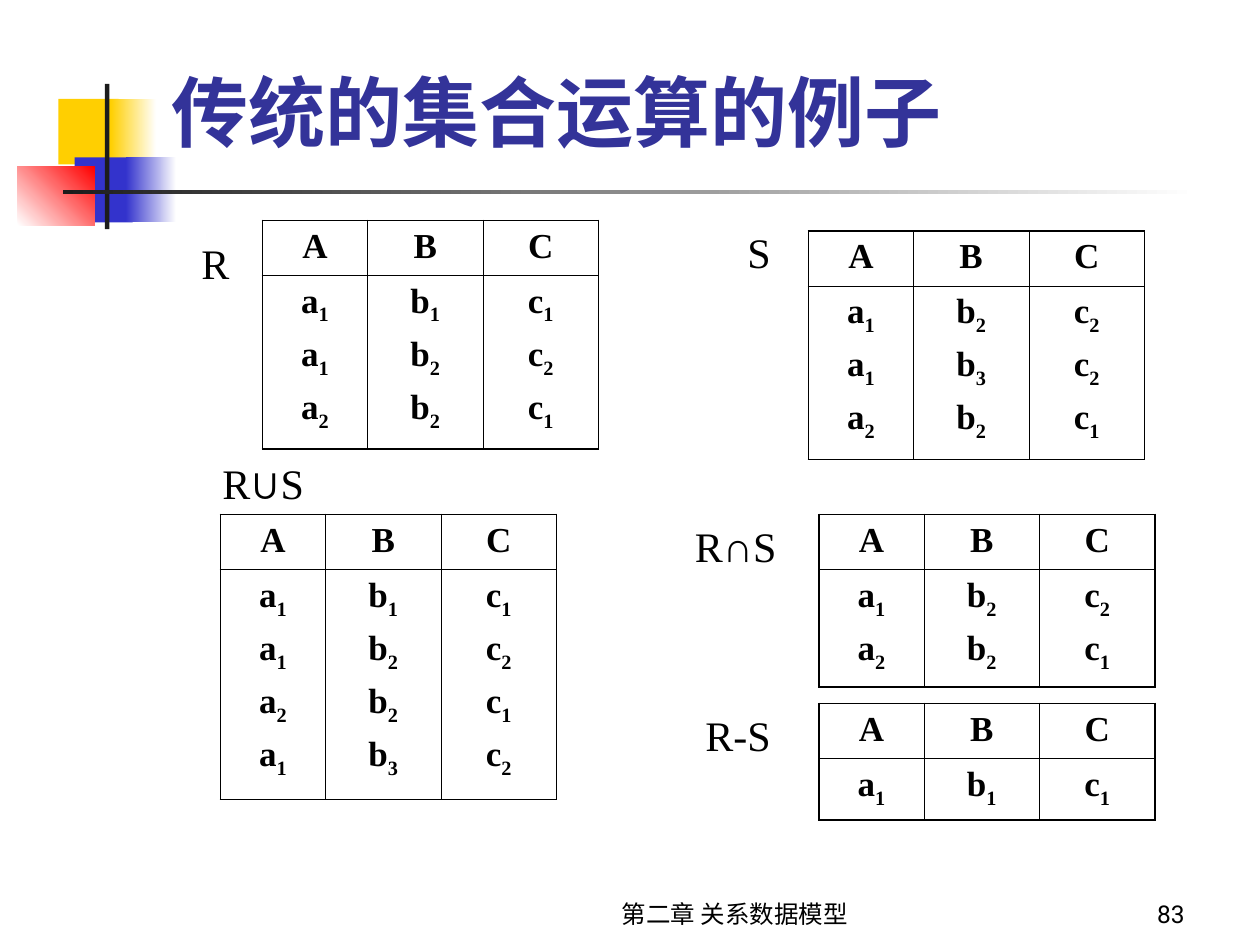
import lxml.etree
import pptx
import pptx.dml.color
import pptx.enum.shapes
import pptx.enum.text
import pptx.oxml.ns
import pptx.util

Pt = pptx.util.Pt
RGB = pptx.dml.color.RGBColor.from_string
ALIGN = pptx.enum.text.PP_ALIGN
ANCHOR = pptx.enum.text.MSO_ANCHOR
qn = pptx.oxml.ns.qn

COLORS = {
    "yellow": "FFCF01", "blue": "3333CC", "red": "FF0000", "white": "FFFFFF",
    "ink": "1C1C1C", "title": "333399", "text": "000000",
}
TITLE = {"size": Pt(44), "name": "Times New Roman", "bold": True}
FOOTER = {"size": Pt(14), "name": "Roboto", "bold": False}
LABEL = {"size": Pt(24), "name": "Times New Roman", "bold": False}
SYMBOL = {**LABEL, "name": "Arial"}
CELL = {"size": Pt(20), "name": "Times New Roman", "bold": True}

OUTER, INNER = Pt(1.08), Pt(0.45)
COLUMNS = (60, 66, 66)
HEADER_HEIGHT = 31.5
FIRST_LINE, NEXT_LINE = 35, 32


def add_span(para, text, look, color="text"):
    span = para.add_run()
    span.text = text
    for name, value in look.items():
        setattr(span.font, name, value)
    span.font.color.rgb = RGB(COLORS[color])
    return span


def add_box(page, place, anchor, align):
    box = page.shapes.add_textbox(*map(Pt, place))
    box.text_frame.word_wrap = True
    box.text_frame.vertical_anchor = anchor
    para = box.text_frame.paragraphs[0]
    para.alignment = align
    return box, para


deck = pptx.Presentation()
deck.slide_width, deck.slide_height = Pt(720), Pt(540)
page = deck.slides.add_slide(deck.slide_layouts[6])

# Corner blocks and rules: place, start colour, end colour, angle
ornaments = [
    ((33.3, 56.5, 34.5, 37.5), "yellow", None, 0),
    ((63.3, 56.5, 26, 37.5), "yellow", "white", 0),
    ((42.7, 90, 33.2, 37.2), "blue", None, 0),
    ((72, 90, 28.8, 37.2), "blue", "white", 0),
    ((10, 95.2, 44.2, 33.5), "white", "red", 45),
    ((60, 48, 2.5, 83), "ink", None, 0),
    ((36, 108.6, 648, 2.25), "ink", "white", 0),
]
for place, start, end, angle in ornaments:
    block = page.shapes.add_shape(
        pptx.enum.shapes.MSO_SHAPE.RECTANGLE, *map(Pt, place))
    block.shadow.inherit = False
    block.line.fill.background()
    if end:
        block.fill.gradient()
        block.fill.gradient_angle = angle
        for stop, color in zip(block.fill.gradient_stops, (start, end)):
            stop.color.rgb = RGB(COLORS[color])
    else:
        block.fill.solid()
        block.fill.fore_color.rgb = RGB(COLORS[start])

# Title, footer and page number
for text, place, align, look, color in [
    ("第二章 关系数据模型", (276, 498, 288, 36), ALIGN.CENTER, FOOTER, "text"),
    ("83", (594, 498, 90, 36), ALIGN.RIGHT, FOOTER, "text"),
    ("传统的集合运算的例子", (91, 30, 613, 63), ALIGN.LEFT, TITLE, "title"),
]:
    box, para = add_box(page, place, ANCHOR.BOTTOM, align)
    add_span(para, text, look, color)

# Relations: left, top, and the subscripts of a, b, c in each tuple
relations = [
    (150, 126, ("111", "122", "221")),
    (462, 132, ("122", "132", "221")),
    (126, 294, ("111", "122", "221", "132")),
    (468, 294, ("122", "221")),
    (468, 402, ("111",)),
]
for left, top, tuples in relations:
    heights = (HEADER_HEIGHT, FIRST_LINE + NEXT_LINE * (len(tuples) - 1))
    frame = page.shapes.add_table(
        2, 3, Pt(left), Pt(top), Pt(sum(COLUMNS)), Pt(sum(heights)))
    table = frame.table
    table.first_row = table.horz_banding = False
    for row, height in zip(table.rows, heights):
        row.height = Pt(height)

    for index, width in enumerate(COLUMNS):
        table.columns[index].width = Pt(width)
        header, body = table.cell(0, index), table.cell(1, index)
        add_span(header.text_frame.paragraphs[0], "ABC"[index], CELL)
        for number, subscripts in enumerate(tuples):
            frame_text = body.text_frame
            para = frame_text.add_paragraph() if number else frame_text.paragraphs[0]
            if number:
                para.space_before = Pt(5)
            add_span(para, "abc"[index], CELL)
            small = add_span(para, subscripts[index], CELL)
            small._r.get_or_add_rPr().set("baseline", "-25000")

        # Thick outer borders, thin inner ones
        for cell, is_header in ((header, True), (body, False)):
            for para in cell.text_frame.paragraphs:
                para.alignment = ALIGN.CENTER
            properties = cell._tc.get_or_add_tcPr()
            for side, is_outer in (("L", index == 0), ("R", index == 2),
                                   ("T", is_header), ("B", not is_header)):
                line = lxml.etree.SubElement(
                    properties, qn("a:ln" + side), w=str(OUTER if is_outer else INNER))
                fill = lxml.etree.SubElement(line, qn("a:solidFill"))
                lxml.etree.SubElement(fill, qn("a:srgbClr"), val=COLORS["text"])
            cell.fill.background()

# Relation labels, with the set operators in their own font
for text, left, top, width in [
    ("R", 108, 132, 42),
    ("S", 420, 126, 42),
    ("R∪S", 120, 258, 72),
    ("R∩S", 390, 294, 78),
    ("R-S", 396, 402, 66),
]:
    box, para = add_box(page, (left, top, width, 36), ANCHOR.TOP, ALIGN.LEFT)
    box.text_frame.auto_size = pptx.enum.text.MSO_AUTO_SIZE.SHAPE_TO_FIT_TEXT
    for letter in text:
        add_span(para, letter, SYMBOL if letter in "∪∩" else LABEL)

deck.save("out.pptx")
